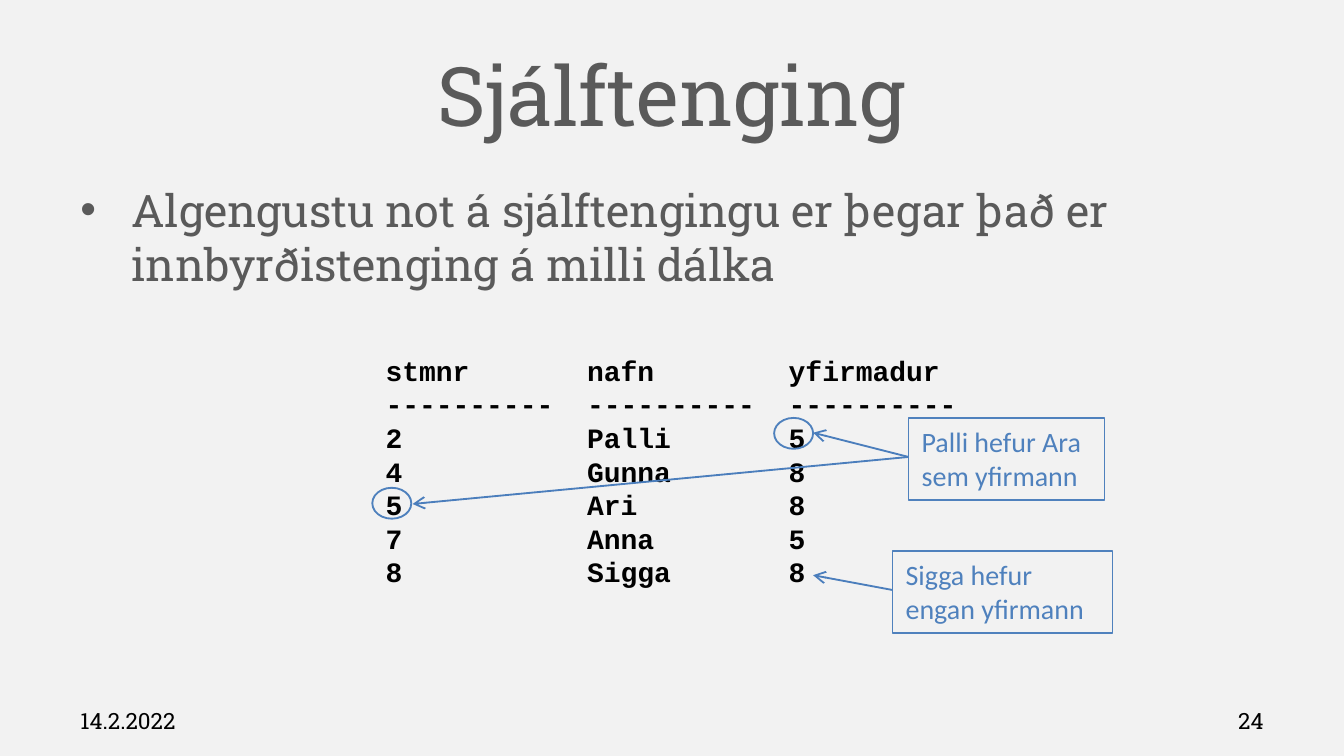
"""Builds a slide explaining self joins with an employee and manager listing."""
import pptx
import pptx.dml.color
import pptx.enum.shapes
import pptx.enum.text
import pptx.oxml
import pptx.oxml.ns
import pptx.util
from pptx.util import Inches

RGBColor = pptx.dml.color.RGBColor
Align = pptx.enum.text.PP_ALIGN
Anchor = pptx.enum.text.MSO_ANCHOR
Preset = pptx.enum.shapes.MSO_SHAPE

BACKGROUND = RGBColor(0xF2, 0xF2, 0xF2)
GREY = RGBColor(0x5A, 0x5A, 0x5A)
BLACK = RGBColor(0x00, 0x00, 0x00)
BLUE = RGBColor(0x4F, 0x81, 0xBD)
ARROW_BLUE = RGBColor(0x4B, 0x7E, 0xBC)

HEADING_FONT = "Roboto Slab"
CODE_FONT = "Courier New"
CALLOUT_FONT = "Calibri"

COLUMN_WIDTH = 1.5
EMPLOYEES = [
    ("stmnr", "nafn", "yfirmadur"),
    ("-" * 10,) * 3,
    ("2", "Palli", "5"),
    ("4", "Gunna", "8"),
    ("5", "Ari", "8"),
    ("7", "Anna", "5"),
    ("8", "Sigga", "8"),
]


def add_xml(parent, tag, **attributes):
    element = pptx.oxml.parse_xml(f"<a:{tag} {pptx.oxml.ns.nsdecls('a')}/>")
    for name, value in attributes.items():
        element.set(name, str(value))
    parent.append(element)
    return element


class JoinSlide:
    def __init__(self, presentation):
        self.slide = presentation.slides.add_slide(presentation.slide_layouts[5])
        self.slide.background.fill.solid()
        self.slide.background.fill.fore_color.rgb = BACKGROUND

    def style(self, paragraph, font, size, color, bold=False, align=Align.LEFT):
        paragraph.alignment = align
        paragraph.font.name = font
        paragraph.font.size = pptx.util.Pt(size)
        paragraph.font.color.rgb = color
        paragraph.font.bold = bold

    def title(self, wording, left, top, width, height):
        heading = self.slide.shapes.title
        heading.left, heading.top = Inches(left), Inches(top)
        heading.width, heading.height = Inches(width), Inches(height)
        heading.text_frame.text = wording
        heading.text_frame.vertical_anchor = Anchor.MIDDLE
        self.style(heading.text_frame.paragraphs[0], HEADING_FONT, 44, GREY, align=Align.CENTER)

    def text_frame(self, left, top, width, height, anchor=Anchor.TOP):
        box = self.slide.shapes.add_textbox(
            Inches(left), Inches(top), Inches(width), Inches(height))
        box.text_frame.word_wrap = True
        box.text_frame.vertical_anchor = anchor
        return box.text_frame

    def bullet(self, wording, *place):
        point = self.text_frame(*place).paragraphs[0]
        point.text = wording
        properties = point._p.get_or_add_pPr()
        properties.set("marL", str(Inches(0.38)))
        properties.set("indent", str(-Inches(0.38)))
        add_xml(properties, "buFont", typeface="Arial")
        add_xml(properties, "buChar", char="•")
        point.space_before = pptx.util.Pt(4.8)
        self.style(point, HEADING_FONT, 24, GREY)

    def listing(self, rows, *place):
        frame = self.text_frame(*place)
        frame.text = "\n".join("\t".join(row) for row in rows)
        for line in frame.paragraphs:
            stops = add_xml(line._p.get_or_add_pPr(), "tabLst")
            for column in range(1, len(rows[0])):
                add_xml(stops, "tab", pos=Inches(column * COLUMN_WIDTH), algn="l")
            self.style(line, CODE_FONT, 15, BLACK, bold=True)

    def outline(self, preset, left, top, width, height, weight):
        shape = self.slide.shapes.add_shape(
            preset, Inches(left), Inches(top), Inches(width), Inches(height))
        shape.shadow.inherit = False
        shape.fill.background()
        shape.line.color.rgb = BLUE
        shape.line.width = pptx.util.Pt(weight)
        return shape

    def callout(self, wording, *place):
        frame = self.outline(Preset.RECTANGLE, *place, weight=0.75).text_frame
        frame.word_wrap = True
        frame.vertical_anchor = Anchor.TOP
        frame.text = wording
        self.style(frame.paragraphs[0], CALLOUT_FONT, 15, BLUE)

    def ring(self, left, top):
        self.outline(Preset.OVAL, left, top, 0.29, 0.23, weight=1)

    def arrow(self, start, end):
        pointer = self.slide.shapes.add_connector(
            pptx.enum.shapes.MSO_CONNECTOR.STRAIGHT, *map(Inches, start + end))
        pointer.line.color.rgb = ARROW_BLUE
        pointer.line.width = pptx.util.Pt(1)
        add_xml(pointer.line._get_or_add_ln(), "tailEnd", type="arrow")
        add_xml(pointer._element.spPr, "effectLst")

    def footer(self, wording, left, align):
        note = self.text_frame(left, 5.21, 2.33, 0.3, Anchor.MIDDLE).paragraphs[0]
        note.text = wording
        self.style(note, HEADING_FONT, 12, BLACK, align=align)


def main():
    presentation = pptx.Presentation()
    presentation.slide_width = Inches(10)
    presentation.slide_height = presentation.slide_width * 9 // 16

    join = JoinSlide(presentation)
    join.title("Sjálftenging", 0.5, 0.23, 9, 0.94)
    join.bullet("Algengustu not á sjálftengingu er þegar það er "
                "innbyrðistenging á milli dálka", 0.5, 1.31, 9, 3.71)
    join.listing(EMPLOYEES, 2.77, 2.58, 4.69, 1.87)

    join.callout("Palli hefur Ara sem yfirmann", 6.76, 3.11, 1.46, 0.61)
    join.ring(5.76, 3.11)
    join.ring(2.77, 3.63)
    for target in [(6.05, 3.22), (3.07, 3.75)]:
        join.arrow((6.76, 3.4), target)
    join.callout("Sigga hefur engan yfirmann", 6.64, 4.1, 1.64, 0.61)
    join.arrow((6.64, 4.39), (6.05, 4.28))

    join.footer("14.2.2022", 0.5, Align.LEFT)
    join.footer("24", 7.17, Align.RIGHT)
    presentation.save("out.pptx")


if __name__ == "__main__":
    main()
